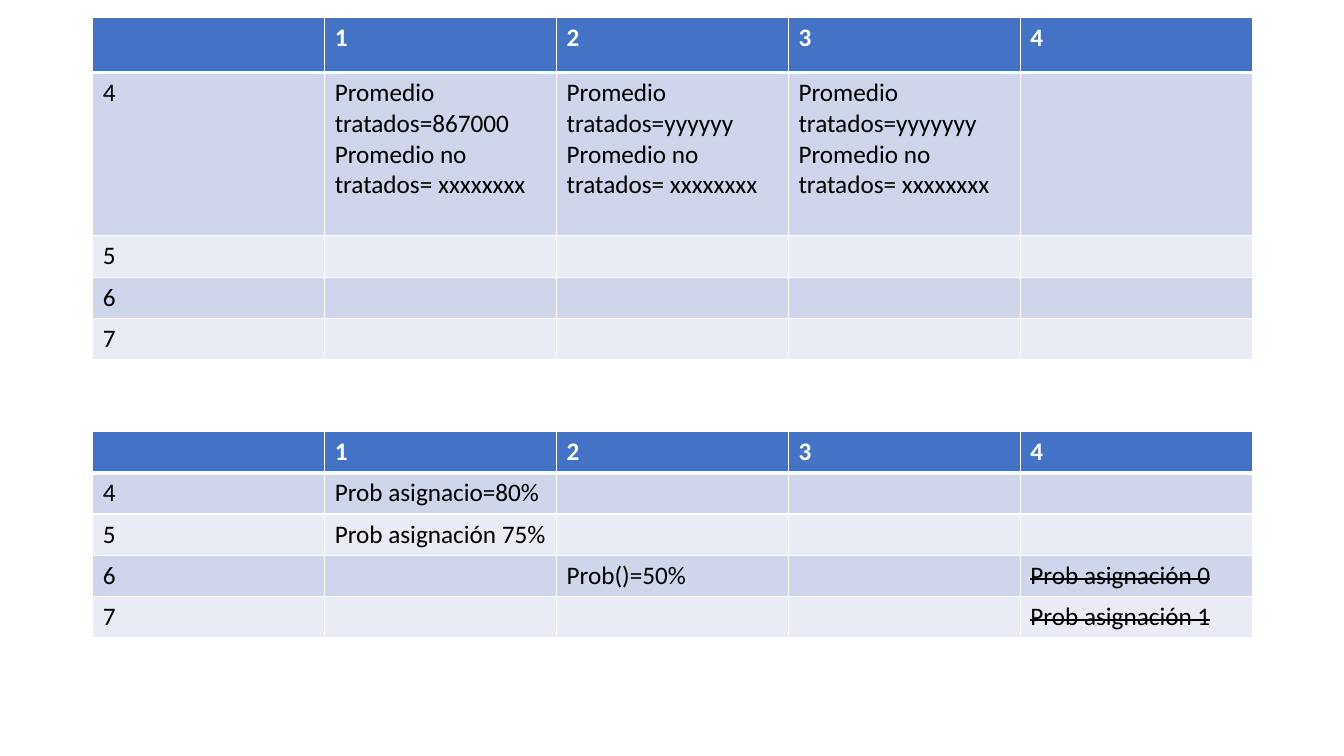
from lxml.etree import SubElement
from pptx import Presentation
from pptx.dml.color import RGBColor
from pptx.oxml.ns import qn
from pptx.util import Inches, Pt

COLORS = {
    "header": "4472C4",
    "odd": "CFD5EA",
    "even": "E9EBF5",
    "light": "FFFFFF",
    "dark": "000000",
}
FONT = "Calibri"
ROW_H = 0.41
HEADER = ["", "1", "2", "3", "4"]
UNTREATED = "Promedio no tratados= xxxxxxxx"

AVERAGES = [
    HEADER,
    ["4"] + [f"Promedio tratados={value}\n{UNTREATED}"
             for value in ("867000", "yyyyyy", "yyyyyyy")] + [""],
    ["5", "", "", "", ""],
    ["6", "", "", "", ""],
    ["7", "", "", "", ""],
]
PROBABILITIES = [
    HEADER,
    ["4", "Prob asignacio=80%", "", "", ""],
    ["5", "Prob asignación 75%", "", "", ""],
    ["6", "", "Prob()=50%", "", "Prob asignación 0"],
    ["7", "", "", "", "Prob asignación 1"],
]
STRUCK = {"Prob asignación 0", "Prob asignación 1"}


def set_borders(cell, top, bottom):
    """Draw the four cell edges; top and bottom widths are in points."""
    tcPr = cell._tc.get_or_add_tcPr()
    for side, width in (("L", 1), ("R", 1), ("T", top), ("B", bottom)):
        ln = SubElement(tcPr, qn(f"a:ln{side}"), w=str(Pt(width)))
        fill = SubElement(ln, qn("a:solidFill"))
        SubElement(fill, qn("a:srgbClr"), val=COLORS["light"])


def fill_text(tf, text, color, bold):
    for i, line in enumerate(text.split("\n")):
        p = tf.paragraphs[0] if i == 0 else tf.add_paragraph()
        r = p.add_run()
        r.text = line
        r.font.name = FONT
        r.font.size = Pt(18)
        r.font.bold = bold
        r.font.color.rgb = RGBColor.from_string(COLORS[color])
        if line in STRUCK:
            r._r.get_or_add_rPr().set("strike", "sngStrike")


def add_grid(slide, left, top, width, row_heights, rows):
    """Add a table with a dark header row and banded body rows."""
    frame = slide.shapes.add_table(
        len(rows), len(rows[0]), Inches(left), Inches(top),
        Inches(width), Inches(sum(row_heights)))
    table = frame.table
    for column in table.columns:
        column.width = Inches(width / len(rows[0]))
    for i, (height, texts) in enumerate(zip(row_heights, rows)):
        table.rows[i].height = Inches(height)
        is_header = i == 0
        band = "header" if is_header else ("odd" if i % 2 else "even")
        for j, text in enumerate(texts):
            cell = table.cell(i, j)
            set_borders(cell, 3 if i == 1 else 1, 3 if is_header else 1)
            cell.fill.solid()
            cell.fill.fore_color.rgb = RGBColor.from_string(COLORS[band])
            if text:
                fill_text(cell.text_frame, text,
                          "light" if is_header else "dark", is_header)


def main():
    prs = Presentation()
    prs.slide_width = Inches(13.33)
    prs.slide_height = Inches(7.5)
    slide = prs.slides.add_slide(prs.slide_layouts[6])
    add_grid(slide, 0.92, 0.17, 11.5, [0.55, 1.62] + [ROW_H] * 3, AVERAGES)
    add_grid(slide, 0.92, 4.28, 11.5, [ROW_H] * 5, PROBABILITIES)
    prs.save("out.pptx")


if __name__ == "__main__":
    main()
